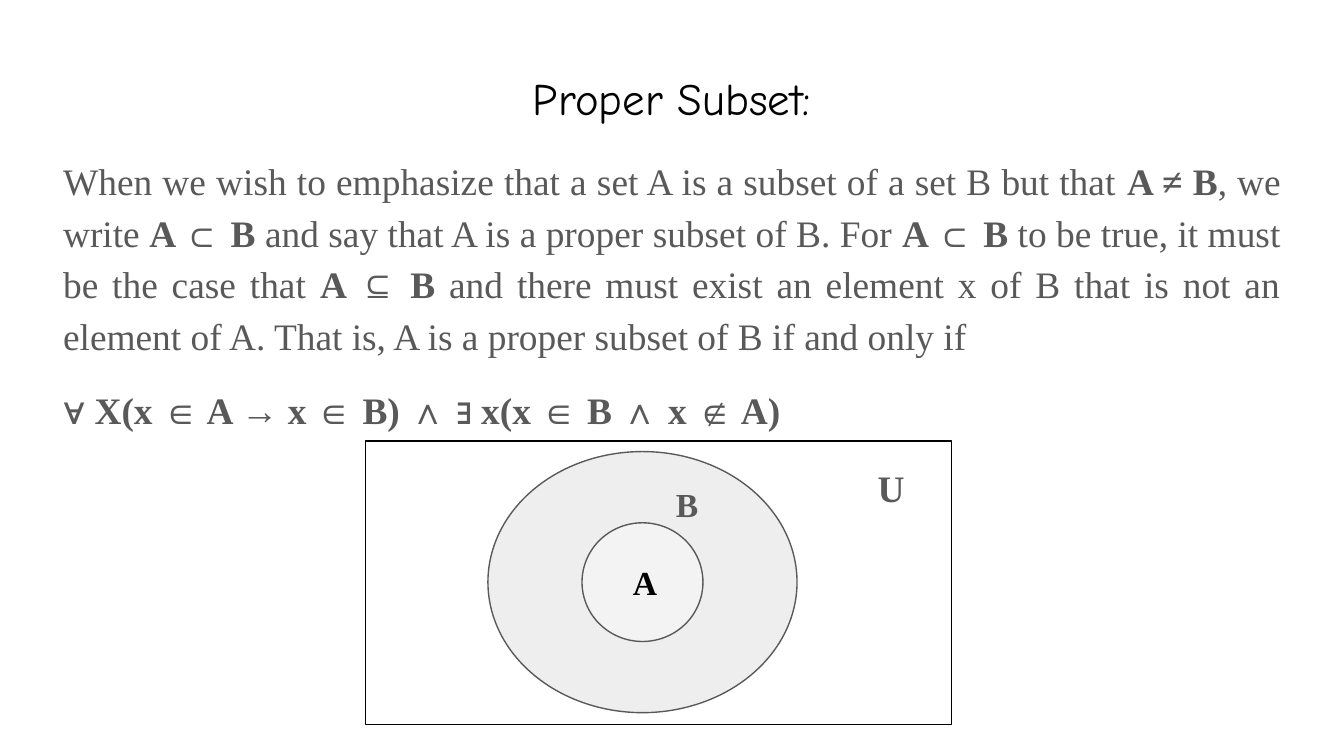
from pptx import Presentation
from pptx.dml.color import RGBColor
from pptx.enum.shapes import MSO_SHAPE as Shape
from pptx.enum.text import MSO_ANCHOR as Anchor, MSO_AUTO_SIZE as AutoSize, PP_ALIGN as Align
from pptx.oxml.ns import qn
from pptx.util import Pt

COLORS = {"black": "000000", "gray": "595959", "outer": "EEEEEE", "inner": "F3F3F3"}
SERIF = "Times New Roman"


def add_run(paragraph, text, size=20, font=SERIF, color="gray", bold=False):
    run = paragraph.add_run()
    run.text = text
    run.font.size = Pt(size)
    run.font.name = font
    run.font.bold = bold
    run.font.color.rgb = RGBColor.from_string(COLORS[color])


def set_frame(shape, left, top, width, height, anchor=Anchor.TOP):
    shape.left, shape.top, shape.width, shape.height = map(Pt, (left, top, width, height))
    frame = shape.text_frame
    frame.word_wrap = True
    frame.auto_size = AutoSize.NONE
    frame.vertical_anchor = anchor
    frame.margin_left = frame.margin_right = frame.margin_top = frame.margin_bottom = Pt(7.2)
    return frame


presentation = Presentation()
presentation.slide_width = Pt(720)
presentation.slide_height = Pt(405)
slide = presentation.slides.add_slide(presentation.slide_layouts[1])

title_frame = set_frame(slide.shapes.title, 24.5, 20.2, 671, 53.3, Anchor.BOTTOM)
title = title_frame.paragraphs[0]
title.alignment = Align.CENTER
title.line_spacing = 0.8
add_run(title, "Proper Subset:", size=24, font="Comic Neue", color="black")

body_frame = set_frame(slide.placeholders[1], 26.6, 74, 666.8, 201)
definition = [
    ("When we wish to emphasize that a set A is a subset of a set B but that ", False),
    ("A ≠ B", True),
    (", we write ", False),
    ("A ⊂ B", True),
    (" and say that A is a proper subset of B. For ", False),
    ("A ⊂ B", True),
    (" to be true, it must be the case that ", False),
    ("A ⊆ B", True),
    (" and there must exist an element x of B that is not an element of A. "
     "That is, A is a proper subset of B if and only if ", False),
]
formula = [("∀ X(x ∈ A → x ∈ B) ∧ ∃ x(x ∈ B ∧ x ∉ A)", True)]
for index, parts in enumerate([definition, formula]):
    paragraph = body_frame.paragraphs[0] if index == 0 else body_frame.add_paragraph()
    paragraph.alignment = Align.JUSTIFY
    paragraph.line_spacing = 1.15
    paragraph.space_before = Pt(12 * index)
    properties = paragraph._p.get_or_add_pPr()
    properties.set("marL", "0")
    properties.set("indent", "0")
    properties.append(properties.makeelement(qn("a:buNone"), {}))
    for text, bold in parts:
        add_run(paragraph, text, bold=bold)

venn_parts = [
    (Shape.RECTANGLE, 195.8, 236.2, 313.9, 151.9, None, "black"),
    (Shape.OVAL, 261.4, 241.9, 165.6, 139.9, "outer", "gray"),
    (Shape.OVAL, 311.8, 280.1, 64.8, 63.6, "inner", "gray"),
]
for kind, left, top, width, height, fill, line in venn_parts:
    shape = slide.shapes.add_shape(kind, Pt(left), Pt(top), Pt(width), Pt(height))
    shape.shadow.inherit = False
    if fill:
        shape.fill.solid()
        shape.fill.fore_color.rgb = RGBColor.from_string(COLORS[fill])
    else:
        shape.fill.background()
    shape.line.color.rgb = RGBColor.from_string(COLORS[line])
    shape.line.width = Pt(0.75)

set_labels = [
    ("A", 331.9, 293.8, 28.1, 36, 18, "black"),
    ("B", 355, 252, 39.6, 36, 18, "gray"),
    ("U", 463, 241.9, 39.6, 38.9, 20, "gray"),
]
for text, left, top, width, height, size, color in set_labels:
    label = slide.shapes.add_textbox(0, 0, 0, 0)
    label_frame = set_frame(label, left, top, width, height)
    add_run(label_frame.paragraphs[0], text, size=size, color=color, bold=True)

presentation.save("out.pptx")
